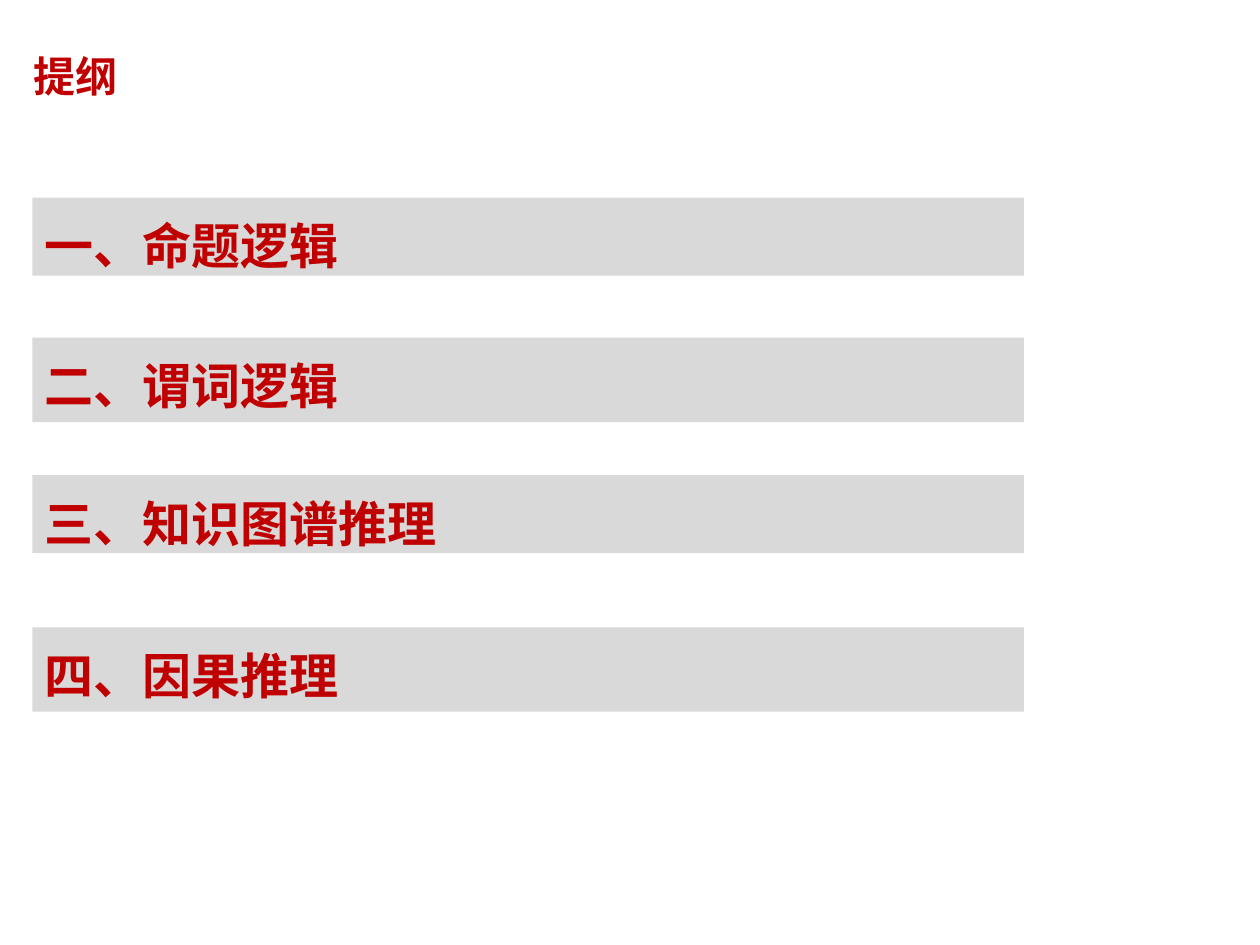
import pptx
import pptx.util
import pptx.dml.color
import pptx.enum.shapes
import pptx.enum.text

Pt = pptx.util.Pt


def color(value):
    return pptx.dml.color.RGBColor.from_string(value)


def add_run(p, text, size):
    r = p.add_run()
    r.text = text
    r.font.name = "Times New Roman"
    r.font.size = Pt(size)
    r.font.bold = True
    r.font.color.rgb = color("C00000")


prs = pptx.Presentation()
prs.slide_width = Pt(720)
prs.slide_height = Pt(540)
s = prs.slides.add_slide(prs.slide_layouts[6])

sp = s.shapes.add_textbox(Pt(1.5), Pt(8), Pt(534), Pt(71))
tf = sp.text_frame
tf.word_wrap = True
tf.margin_left = Pt(17.5)
tf.vertical_anchor = pptx.enum.text.MSO_ANCHOR.MIDDLE
add_run(tf.paragraphs[0], "提纲", 24)

sections = [
    ("一、命题逻辑", 113, 44.6),
    ("二、谓词逻辑", 193, 48.2),
    ("三、知识图谱推理", 271.5, 44.6),
    ("四、因果推理", 358.5, 48.2),
]
for text, top, height in sections:
    sp = s.shapes.add_shape(
        pptx.enum.shapes.MSO_SHAPE.RECTANGLE, Pt(18.5), Pt(top), Pt(566.6), Pt(height)
    )
    sp.shadow.inherit = False
    sp.fill.solid()
    sp.fill.fore_color.rgb = color("D9D9D9")
    sp.line.fill.background()
    tf = sp.text_frame
    tf.word_wrap = True
    tf.auto_size = pptx.enum.text.MSO_AUTO_SIZE.SHAPE_TO_FIT_TEXT
    tf.vertical_anchor = pptx.enum.text.MSO_ANCHOR.TOP
    p = tf.paragraphs[0]
    p.alignment = pptx.enum.text.PP_ALIGN.LEFT
    p.line_spacing = 1.2
    add_run(p, text, 28)

prs.save("out.pptx")
